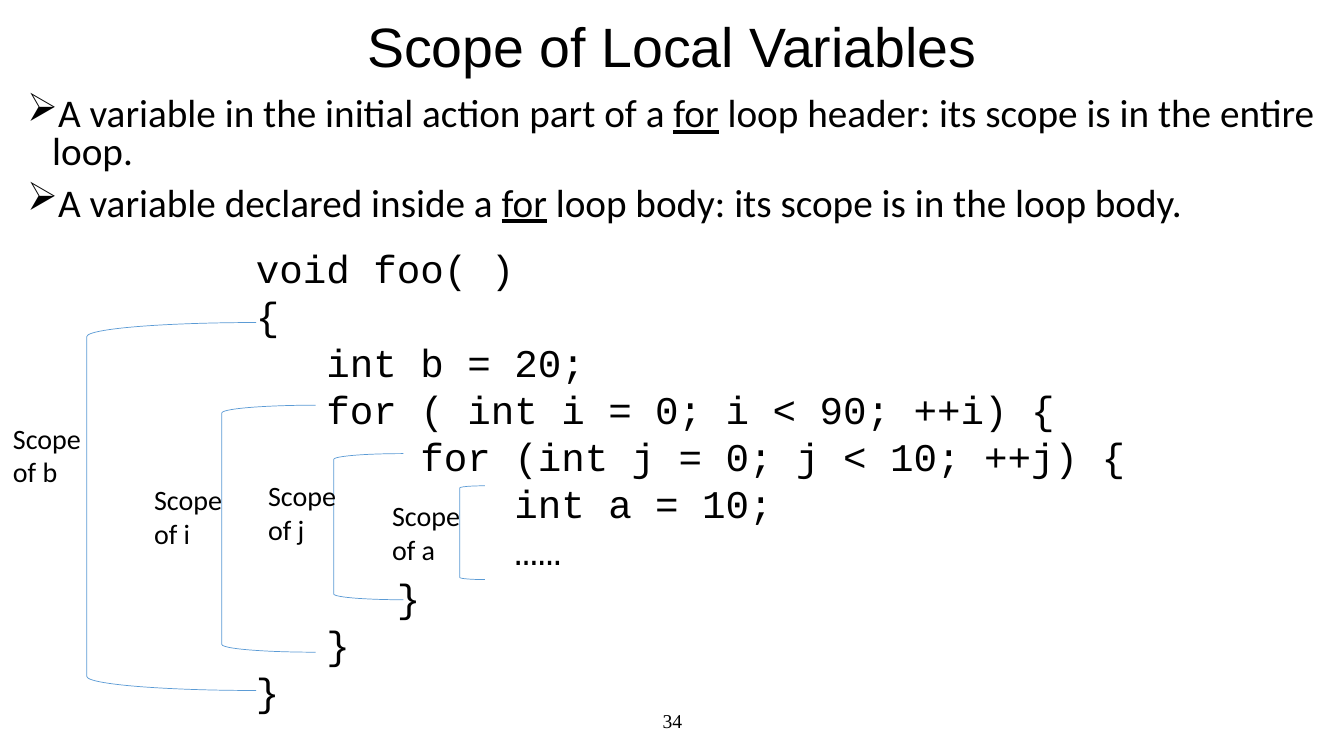
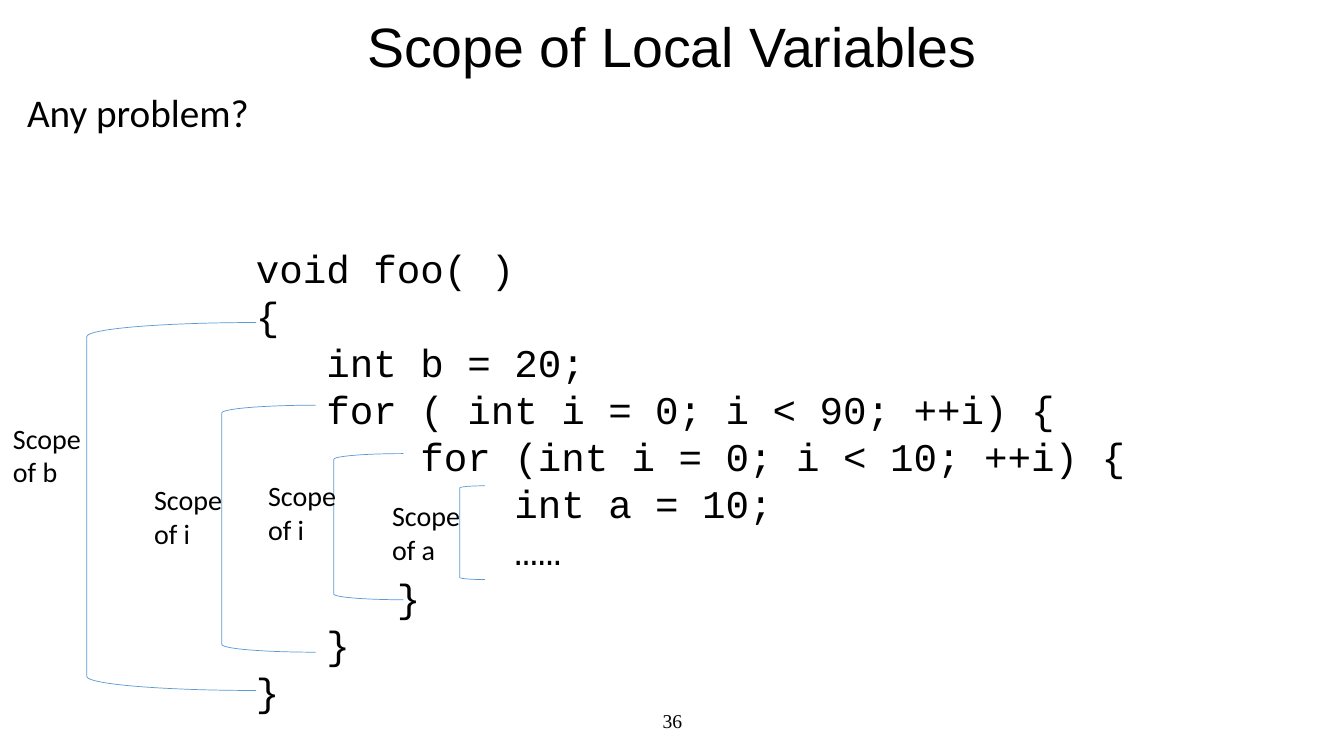
from dataclasses import dataclass

from lxml import etree
from pptx import Presentation
from pptx.dml.color import RGBColor
from pptx.enum.shapes import MSO_SHAPE as Shape
from pptx.enum.text import MSO_ANCHOR as Anchor, MSO_AUTO_SIZE as AutoSize, PP_ALIGN as Align
from pptx.oxml.ns import qn
from pptx.util import Inches, Pt


@dataclass(frozen=True)
class Theme:
    text: RGBColor = RGBColor(0x00, 0x00, 0x00)
    bracket: RGBColor = RGBColor(0x5B, 0x9B, 0xD5)
    title_font: str = "Arial"
    body_font: str = "Calibri"
    code_font: str = "Courier New"
    number_font: str = "Times New Roman"
    title_size: float = 39.6
    body_size: float = 28
    label_size: float = 20
    number_size: float = 14
    bracket_width: float = 0.5
    bullet: str = "➢"


THEME = Theme()
TITLE = "Scope of Local Variables"

# Bracket box and label corner for each scope, outermost first
SCOPES = [
    ((0.86, 3.2, 1.68, 3.65), (0.03, 4.13)),
    ((2.2, 4.02, 0.93, 2.45), (1.43, 4.74)),
    ((3.31, 4.5, 0.69, 1.45), (2.56, 4.7)),
    ((4.56, 4.82, 0.25, 0.93), (3.79, 4.9)),
]


def add_bullet(paragraph):
    properties = paragraph._p.get_or_add_pPr()
    properties.set("marL", str(Inches(0.25)))
    properties.set("indent", str(-Inches(0.25)))
    etree.SubElement(properties, qn("a:buChar")).set("char", THEME.bullet)


def write_text(shape, paragraphs, *, font, size, align=Align.LEFT, anchor=Anchor.TOP,
               line_spacing=None, space_before=0, bullets=False):
    """Fill a shape; a paragraph is a string or a tuple whose odd pieces are underlined."""
    frame = shape.text_frame
    frame.word_wrap = True
    frame.auto_size = AutoSize.NONE
    frame.vertical_anchor = anchor
    for index, pieces in enumerate(paragraphs):
        paragraph = frame.add_paragraph() if index else frame.paragraphs[0]
        paragraph.alignment = align
        if line_spacing:
            paragraph.line_spacing = line_spacing
        paragraph.space_before = Pt(space_before if index else 0)
        if bullets:
            add_bullet(paragraph)
        for position, piece in enumerate((pieces,) if isinstance(pieces, str) else pieces):
            run = paragraph.add_run()
            run.text = piece
            run.font.name = font
            run.font.size = Pt(size)
            run.font.color.rgb = THEME.text
            if position % 2:
                run.font.underline = True


def add_text(slide, box, paragraphs, **text_format):
    shape = slide.shapes.add_textbox(*map(Inches, box))
    write_text(shape, paragraphs, **text_format)


def set_title(slide, text):
    title = slide.shapes.title
    title.left, title.top, title.width, title.height = map(Inches, (0, 0.24, 13.33, 0.5))
    write_text(title, [text], font=THEME.title_font, size=THEME.title_size,
               align=Align.CENTER, anchor=Anchor.MIDDLE, line_spacing=0.9)


def add_scope(slide, variable, bracket_box, label_corner):
    bracket = slide.shapes.add_shape(Shape.LEFT_BRACKET, *map(Inches, bracket_box))
    bracket.shadow.inherit = False
    bracket.fill.background()
    bracket.line.color.rgb = THEME.bracket
    bracket.line.width = Pt(THEME.bracket_width)
    add_text(slide, (*label_corner, 0.95, 0.77), ["Scope", f"of {variable}"],
             font=THEME.body_font, size=THEME.label_size)


def code_lines(inner):
    return [
        "void foo( )",
        "{",
        "   int b = 20;",
        "   for ( int i = 0; i < 90; ++i) {",
        f"       for (int {inner} = 0; {inner} < 10; ++{inner}) {{",
        "           int a = 10;",
        "           ……",
        "      }",
        "   }",
        "}",
    ]


def add_scope_slide(presentation, number, body, inner, bullets=False):
    """Add a slide about nested loops whose inner loop variable is named by inner."""
    slide = presentation.slides.add_slide(presentation.slide_layouts[5])
    set_title(slide, TITLE)
    add_text(slide, (4.42, 6.95, 4.5, 0.4), [str(number)], font=THEME.number_font,
             size=THEME.number_size, align=Align.CENTER, anchor=Anchor.MIDDLE)
    add_text(slide, (0.17, 0.92, 13.16, 2.08), body, font=THEME.body_font,
             size=THEME.body_size, line_spacing=0.8, space_before=10, bullets=bullets)
    add_text(slide, (2.44, 2.37, 8.89, 4.81), code_lines(inner),
             font=THEME.code_font, size=THEME.body_size)
    for variable, (bracket_box, label_corner) in zip(("b", "i", inner, "a"), SCOPES):
        add_scope(slide, variable, bracket_box, label_corner)


def main():
    presentation = Presentation()
    presentation.slide_width = Inches(13.33)
    presentation.slide_height = Inches(7.5)
    rules = [
        ("A variable in the initial action part of a ", "for",
         " loop header: its scope is in the entire loop."),
        ("A variable declared inside a ", "for",
         " loop body: its scope is in the loop body."),
    ]
    add_scope_slide(presentation, 34, rules, inner="j", bullets=True)
    add_scope_slide(presentation, 36, ["Any problem?"], inner="i")
    presentation.save("out.pptx")


if __name__ == "__main__":
    main()
